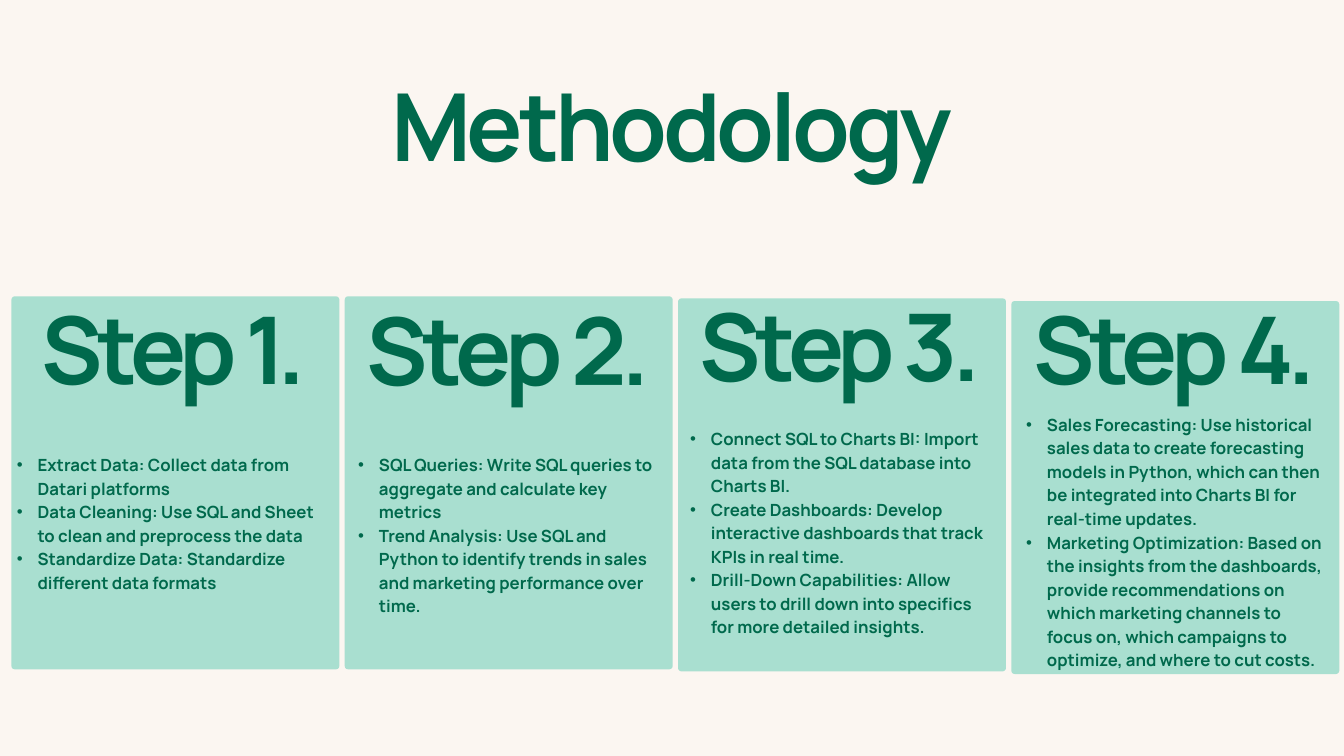
from pptx import Presentation, util as u
from pptx.dml.color import RGBColor
from pptx.enum import shapes, text
from pptx.oxml.xmlchemy import OxmlElement

TITLE = {"words": "Methodology", "at": (242, 143, 1515, 128)}
STEPS = [
    {"name": "Step 1.", "top": 441, "name_at": (22, 450), "list_at": (25, 672, 471, 208),
     "items": ["Extract Data: Collect data from Datari platforms",
               "Data Cleaning: Use SQL and Sheet to clean and preprocess the data",
               "Standardize Data: Standardize different data formats"]},
    {"name": "Step 2.", "top": 441, "name_at": (520, 451), "list_at": (533, 672, 448, 243),
     "items": ["SQL Queries: Write SQL queries to aggregate and calculate key metrics",
               "Trend Analysis: Use SQL and Python to identify trends in sales and "
               "marketing performance over time."]},
    {"name": "Step 3.", "top": 444, "name_at": (1014, 445), "list_at": (1027, 633, 448, 313),
     "items": ["Connect SQL to Charts BI: Import data from the SQL database into Charts BI.",
               "Create Dashboards: Develop interactive dashboards that track KPIs in real time.",
               "Drill-Down Capabilities: Allow users to drill down into specifics for "
               "more detailed insights."]},
    {"name": "Step 4.", "top": 448, "name_at": (1511, 450), "list_at": (1527, 612, 448, 383),
     "items": ["Sales Forecasting: Use historical sales data to create forecasting models in "
               "Python, which can then be integrated into Charts BI for real-time updates.",
               "Marketing Optimization: Based on the insights from the dashboards, provide "
               "recommendations on which marketing channels to focus on, which campaigns to "
               "optimize, and where to cut costs."]},
]
THEME = {
    "paper": RGBColor.from_string("FBF6F1"),
    "card": RGBColor.from_string("A9DFD0"),
    "ink": RGBColor.from_string("00694C"),
    "font": "Manrope",
    "title": {"size": 100.4, "leading": 90.4, "tracking": -460},
    "step": {"size": 100, "leading": 108, "tracking": -550},
    "list": {"size": 18, "leading": 25.2, "tracking": 0},
}
PX = 9144
CARD_LEFT, CARD_PITCH, CARD_SIZE = 17, 496, (488, 555)
NAME_SIZE = (473, 154)
BULLET_INDENT = 31
FRAME = {"margin_left": 0, "margin_top": 0, "margin_right": 0, "margin_bottom": 0,
         "word_wrap": True, "auto_size": text.MSO_AUTO_SIZE.NONE,
         "vertical_anchor": text.MSO_ANCHOR.TOP}


def assign(target, values):
    for name, value in values.items():
        setattr(target, name, value)


def emu(*lengths):
    return [length * PX for length in lengths]


def place(box, at):
    assign(box, dict(zip(("left", "top", "width", "height"), emu(*at))))


def add_bullet(para):
    properties = para._p.get_or_add_pPr()
    properties.set("marL", str(BULLET_INDENT * PX))
    properties.set("indent", str(-BULLET_INDENT * PX))
    for tag, key, value in (("a:buFont", "typeface", "Arial"), ("a:buChar", "char", "•")):
        mark = OxmlElement(tag)
        mark.set(key, value)
        properties.append(mark)


def write(box, lines, style, align, bullets=False):
    frame = box.text_frame
    assign(frame, FRAME)
    for number, line in enumerate(lines):
        para = frame.add_paragraph() if number else frame.paragraphs[0]
        if bullets:
            add_bullet(para)
        assign(para, {"alignment": align, "line_spacing": u.Pt(style["leading"]),
                      "space_before": u.Pt(0), "space_after": u.Pt(0)})
        span = para.add_run()
        span.text = line
        assign(span.font, {"name": THEME["font"], "size": u.Pt(style["size"]), "bold": True})
        span.font.color.rgb = THEME["ink"]
        if style["tracking"]:
            span._r.get_or_add_rPr().set("spc", str(style["tracking"]))


def add_card(page, number, top):
    left = CARD_LEFT + CARD_PITCH * number
    card = page.shapes.add_shape(shapes.MSO_SHAPE.ROUNDED_RECTANGLE, *emu(left, top, *CARD_SIZE))
    card.adjustments[0] = 0.01
    card.shadow.inherit = False
    card.fill.solid()
    card.fill.fore_color.rgb = THEME["card"]
    card.line.fill.background()
    page.shapes.element.insert(2 + number, card.element)


def main():
    deck = Presentation()
    assign(deck, dict(zip(("slide_width", "slide_height"), emu(2000, 1125))))
    page = deck.slides.add_slide(deck.slide_layouts.get_by_name("Comparison"))
    page.background.fill.solid()
    page.background.fill.fore_color.rgb = THEME["paper"]

    title, *lists = page.placeholders
    place(title, TITLE["at"])
    write(title, [TITLE["words"]], THEME["title"], text.PP_ALIGN.CENTER)

    for number, (step, box) in enumerate(zip(STEPS, lists)):
        add_card(page, number, step["top"])
        place(box, step["list_at"])
        write(box, step["items"], THEME["list"], text.PP_ALIGN.LEFT, bullets=True)
        name = page.shapes.add_textbox(*emu(*step["name_at"], *NAME_SIZE))
        write(name, [step["name"]], THEME["step"], text.PP_ALIGN.CENTER)

    deck.save("out.pptx")


if __name__ == "__main__":
    main()
